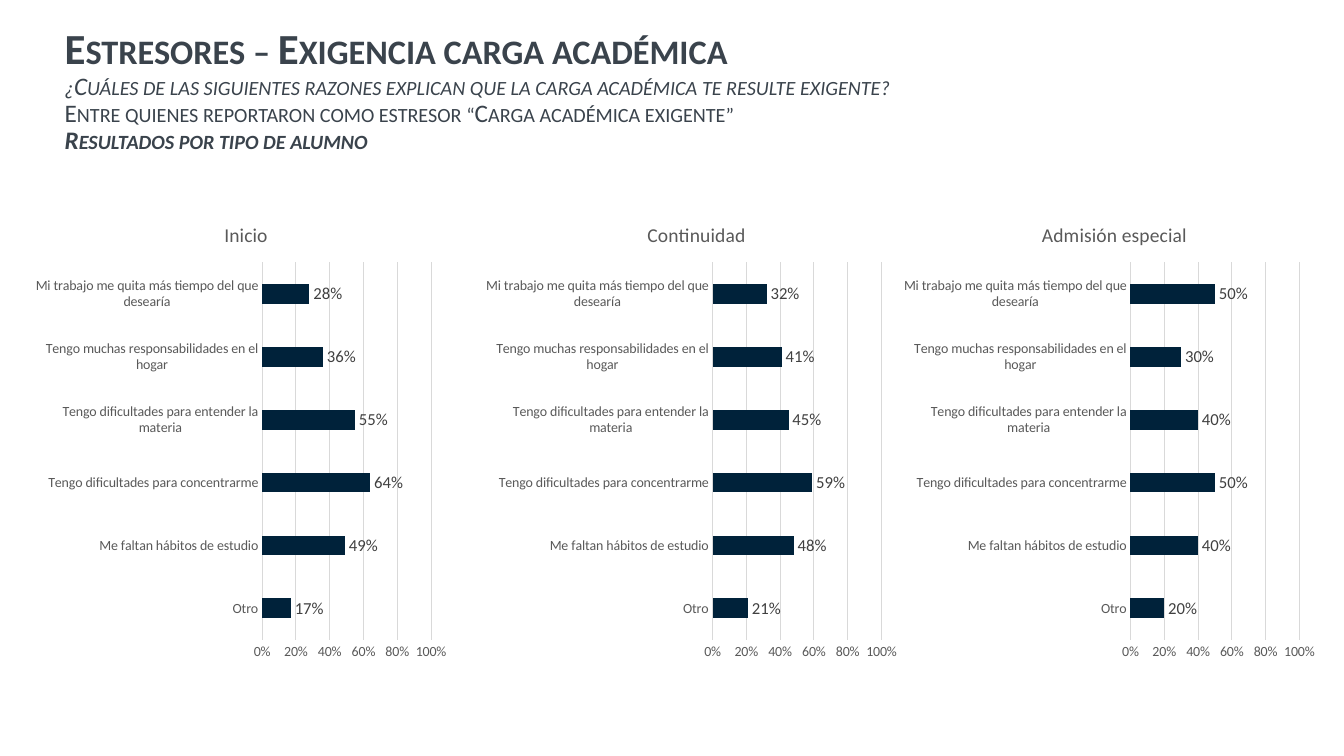
from copy import deepcopy
from typing import NamedTuple

from pptx import Presentation
from pptx import util as u
from pptx.chart.data import CategoryChartData
from pptx.dml.color import RGBColor
from pptx.enum import chart as charts
from pptx.enum import text

PX = 9525
FONT = "Calibri"
SLATE = RGBColor(0x3A, 0x43, 0x4C)
NAVY = RGBColor(0x00, 0x22, 0x3A)
GREY = RGBColor(0x59, 0x59, 0x59)
DARK_GREY = RGBColor(0x40, 0x40, 0x40)
LIGHT_GREY = RGBColor(0xD9, 0xD9, 0xD9)


class Heading(NamedTuple):
    words: str
    size: float
    bold: bool
    italic: bool


class StudentGroup(NamedTuple):
    name: str
    left: int
    shares: tuple[float, ...]


HEADINGS = (
    Heading("Estresores – Exigencia carga académica", 30.6, True, False),
    Heading("¿Cuáles de las siguientes razones explican que la carga académica te resulte exigente?",
            18, False, True),
    Heading("Entre quienes reportaron como estresor “Carga académica exigente”", 18, False, False),
    Heading("Resultados por tipo de alumno", 18, True, True),
)
REASONS = (
    "Otro",
    "Me faltan hábitos de estudio",
    "Tengo dificultades para concentrarme",
    "Tengo dificultades para entender la materia",
    "Tengo muchas responsabilidades en el hogar",
    "Mi trabajo me quita más tiempo del que desearía",
)
GROUPS = (
    StudentGroup("Inicio", 34, (0.17, 0.49, 0.64, 0.55, 0.36, 0.28)),
    StudentGroup("Continuidad", 463, (0.21, 0.48, 0.59, 0.45, 0.41, 0.32)),
    StudentGroup("Admisión especial", 861, (0.2, 0.4, 0.5, 0.4, 0.3, 0.5)),
)


def px(length: int) -> u.Emu:
    return u.Emu(length * PX)


def style_font(font, size: float, color: RGBColor) -> None:
    font.name = FONT
    font.size = u.Pt(size)
    font.bold = False
    font.color.rgb = color


def style_line(line) -> None:
    line.color.rgb = LIGHT_GREY
    line.width = u.Pt(0.75)


def write_title(title) -> None:
    title.left, title.top, title.width, title.height = px(52), px(60), px(1222), px(90)
    frame = title.text_frame
    frame.word_wrap = True
    frame.auto_size = text.MSO_AUTO_SIZE.NONE
    frame.vertical_anchor = text.MSO_ANCHOR.MIDDLE
    frame.margin_bottom = px(41)
    paragraph = frame.paragraphs[0]
    paragraph.alignment = text.PP_ALIGN.LEFT
    paragraph.line_spacing = 0.9
    for heading in HEADINGS:
        run = paragraph.add_run()
        run.text = heading.words
        style_font(run.font, heading.size, SLATE)
        run.font.bold = heading.bold
        run.font.italic = heading.italic
        properties = run._r.get_or_add_rPr()
        properties.set("cap", "small")
        if heading is not HEADINGS[-1]:
            paragraph.add_line_break()
            paragraph._p[-1].append(deepcopy(properties))


def add_group_chart(slide, group: StudentGroup) -> None:
    data = CategoryChartData(number_format="0%")
    data.categories = REASONS
    data.add_series("Series 1", group.shares)
    chart = slide.shapes.add_chart(
        charts.XL_CHART_TYPE.BAR_CLUSTERED, px(group.left), px(193), px(399), px(444), data
    ).chart
    chart.font.name = "Arial"
    chart.font.size = u.Pt(10)
    chart.has_legend = False
    chart.has_title = True
    chart.chart_title.include_in_layout = False
    chart.chart_title.text_frame.text = group.name
    style_font(chart.chart_title.text_frame.paragraphs[0].font, 14, GREY)

    for axis in (chart.category_axis, chart.value_axis):
        axis.major_tick_mark = charts.XL_TICK_MARK.NONE
        axis.minor_tick_mark = charts.XL_TICK_MARK.NONE
        style_font(axis.tick_labels.font, 10, GREY)
    style_line(chart.category_axis.format.line)
    values = chart.value_axis
    values.minimum_scale, values.maximum_scale, values.major_unit = 0, 1, 0.2
    values.format.line.fill.background()
    style_line(values.major_gridlines.format.line)
    values.tick_labels.number_format = "0%"
    values.tick_labels.number_format_is_linked = False

    plot = chart.plots[0]
    plot.gap_width = 219
    plot.vary_by_categories = False
    bars = plot.series[0]
    bars.format.fill.solid()
    bars.format.fill.fore_color.rgb = NAVY
    labels = bars.data_labels
    labels.show_value = True
    labels.position = charts.XL_LABEL_POSITION.OUTSIDE_END
    labels.number_format = "0%"
    labels.number_format_is_linked = False
    style_font(labels.font, 12, DARK_GREY)


def main() -> None:
    presentation = Presentation()
    presentation.slide_width, presentation.slide_height = px(1280), px(720)
    slide = presentation.slides.add_slide(presentation.slide_layouts.get_by_name("Title Only"))
    write_title(slide.shapes.title)
    for group in GROUPS:
        add_group_chart(slide, group)
    presentation.save("out.pptx")


if __name__ == "__main__":
    main()
